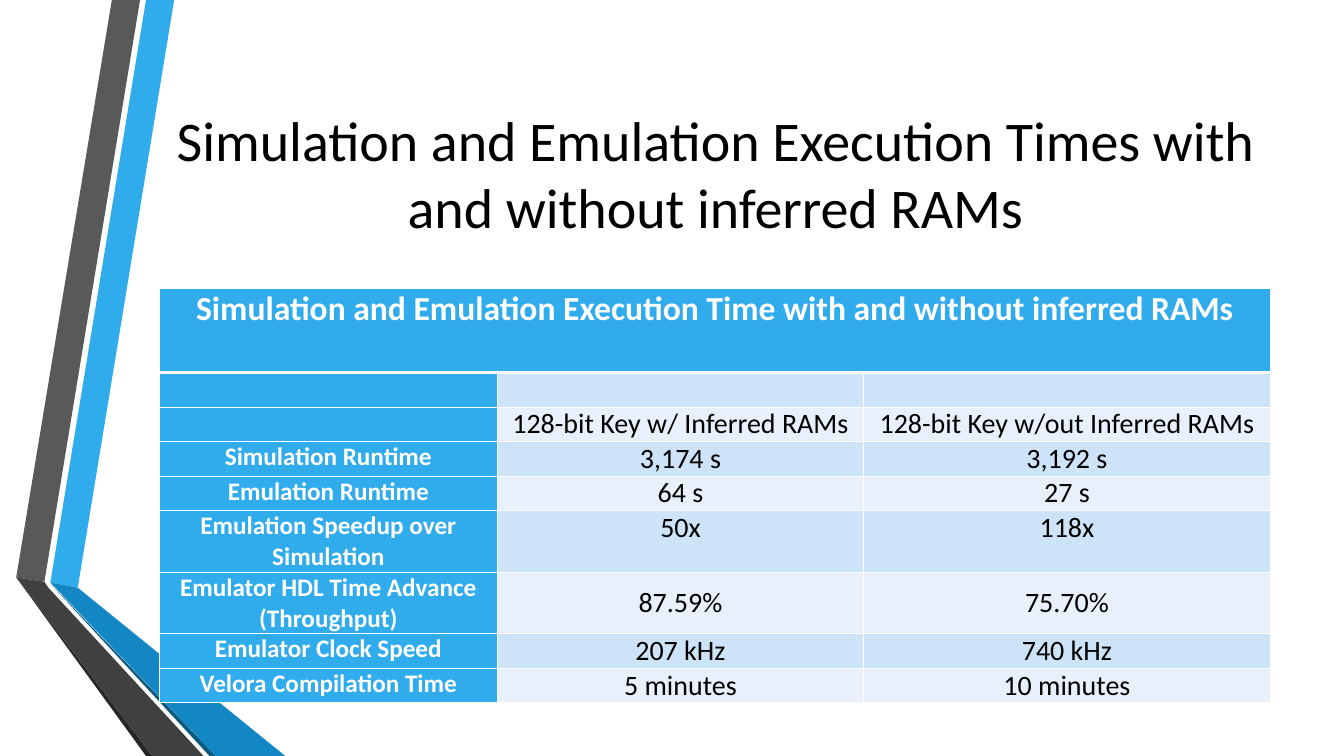
from lxml.etree import SubElement as add_node
from pptx import Presentation
from pptx.dml.color import RGBColor as Color
from pptx.enum.text import MSO_ANCHOR as Anchor, MSO_AUTO_SIZE as AutoSize, PP_ALIGN as Align
from pptx.oxml.ns import qn
from pptx.util import Cm, Pt

COLORS = {
    "white": "FFFFFF", "black": "000000",
    "sky": "30ACEC", "blue": "1287C3", "navy": "0C5A82",
    "gray": "595959", "charcoal": "404040", "soot": "262626",
    "band_dark": "CDE3F8", "band_light": "E8F1FB",
}

RIBBONS = [
    ("sky", [(1.27, 14.68), (1.96, 14.81), (4.39, 0), (3.68, 0)]),
    ("gray", [(3.53, 0), (2.82, 0), (0.41, 14.55), (1.12, 14.66)]),
    ("soot", [(0.41, 14.55), (3.68, 19.05), (3.84, 19.05)]),
    ("navy", [(1.27, 14.71), (5.28, 19.05), (5.44, 19.05)]),
    ("blue", [(1.27, 14.68), (5.44, 19.05), (7.19, 19.05), (1.96, 14.81)]),
    ("charcoal", [(5.13, 19.05), (1.22, 14.81), (1.12, 14.66), (0.41, 14.55), (3.84, 19.05)]),
]

TITLE = "Simulation and Emulation Execution Times with and without inferred RAMs"
HEADING = "Simulation and Emulation Execution Time with and without inferred RAMs"
RUNTIMES = [
    (HEADING, "", ""),
    ("", "", ""),
    ("", "128-bit Key w/ Inferred RAMs", "128-bit Key w/out Inferred RAMs"),
    ("Simulation Runtime", "3,174 s", "3,192 s"),
    ("Emulation Runtime", "64 s", "27 s"),
    ("Emulation Speedup over Simulation", "50x", "118x"),
    ("Emulator HDL Time Advance (Throughput)", "87.59%", "75.70%"),
    ("Emulator Clock Speed", "207 kHz", "740 kHz"),
    ("Velora Compilation Time", "5 minutes", "10 minutes"),
]
COLUMN_WIDTHS = [8.53, 9.22, 10.26]
ROW_HEIGHTS = [2.13] + [0.87] * 4 + [1.55] * 2 + [0.87] * 2
THROUGHPUT_ROW = 6


class SlideBuilder:
    font = "Calibri"

    def __init__(self, page):
        self.page = page

    def color(self, name):
        return Color.from_string(COLORS[name])

    def text(self, frame, words, size, color, bold=False):
        frame.text = words
        for para in frame.paragraphs:
            para.alignment = Align.CENTER
            for span in para.runs:
                span.font.name = self.font
                span.font.size = Pt(size)
                span.font.bold = bold
                span.font.color.rgb = self.color(color)

    def title(self, words, left, top, width, height):
        box = self.page.shapes.title
        box.left, box.top, box.width, box.height = Cm(left), Cm(top), Cm(width), Cm(height)
        frame = box.text_frame
        frame.word_wrap = True
        frame.auto_size = AutoSize.NONE
        frame.vertical_anchor = Anchor.MIDDLE
        self.text(frame, words, 40, "black")

    def ribbon(self, color, points):
        start, *corners = [(Cm(x), Cm(y)) for x, y in points]
        outline = self.page.shapes.build_freeform(*start)
        outline.add_line_segments(corners)
        shape = outline.convert_to_shape()
        shape.shadow.inherit = False
        shape.fill.solid()
        shape.fill.fore_color.rgb = self.color(color)
        shape.line.fill.background()

    def borders(self, cell, top, bottom):
        properties = cell._tc.get_or_add_tcPr()
        for side, points in (("L", 1), ("R", 1), ("T", top), ("B", bottom)):
            line = add_node(properties, qn(f"a:ln{side}"), w=str(Pt(points)))
            fill = add_node(line, qn("a:solidFill"))
            add_node(fill, qn("a:srgbClr"), val=COLORS["white"])

    def cell(self, cell, words, row, column):
        heading = row == 0
        label = heading or column == 0
        self.borders(cell, 3 if row == 1 else 1, 3 if heading else 1)
        band = "band_dark" if row % 2 else "band_light"
        cell.fill.solid()
        cell.fill.fore_color.rgb = self.color("sky" if label else band)
        cell.margin_left = cell.margin_right = Cm(0.33)
        cell.margin_top = cell.margin_bottom = 0
        if row == THROUGHPUT_ROW and not label:
            cell.vertical_anchor = Anchor.MIDDLE
        size = 24 if heading else 18 if label else 20
        self.text(cell.text_frame, words, size, "white" if label else "black", label)

    def table(self, rows, left, top, widths, heights):
        frame = self.page.shapes.add_table(
            len(rows), len(widths), Cm(left), Cm(top), Cm(sum(widths)), Cm(sum(heights)))
        table = frame.table
        table.first_col = True
        for column, width in zip(table.columns, widths):
            column.width = Cm(width)
        for row, height in zip(table.rows, heights):
            row.height = Cm(height)
        for row, texts in enumerate(rows):
            for column, words in enumerate(texts):
                self.cell(table.cell(row, column), words, row, column)
        table.cell(0, 0).merge(table.cell(0, len(widths) - 1))


def main():
    deck = Presentation()
    deck.slide_width, deck.slide_height = Cm(33.87), Cm(19.05)
    builder = SlideBuilder(deck.slides.add_slide(deck.slide_layouts[5]))
    for color, points in RIBBONS:
        builder.ribbon(color, points)
    builder.title(TITLE, 4.11, 1.91, 27.84, 4.88)
    builder.table(RUNTIMES, 4.01, 7.26, COLUMN_WIDTHS, ROW_HEIGHTS)
    deck.save("out.pptx")


if __name__ == "__main__":
    main()
